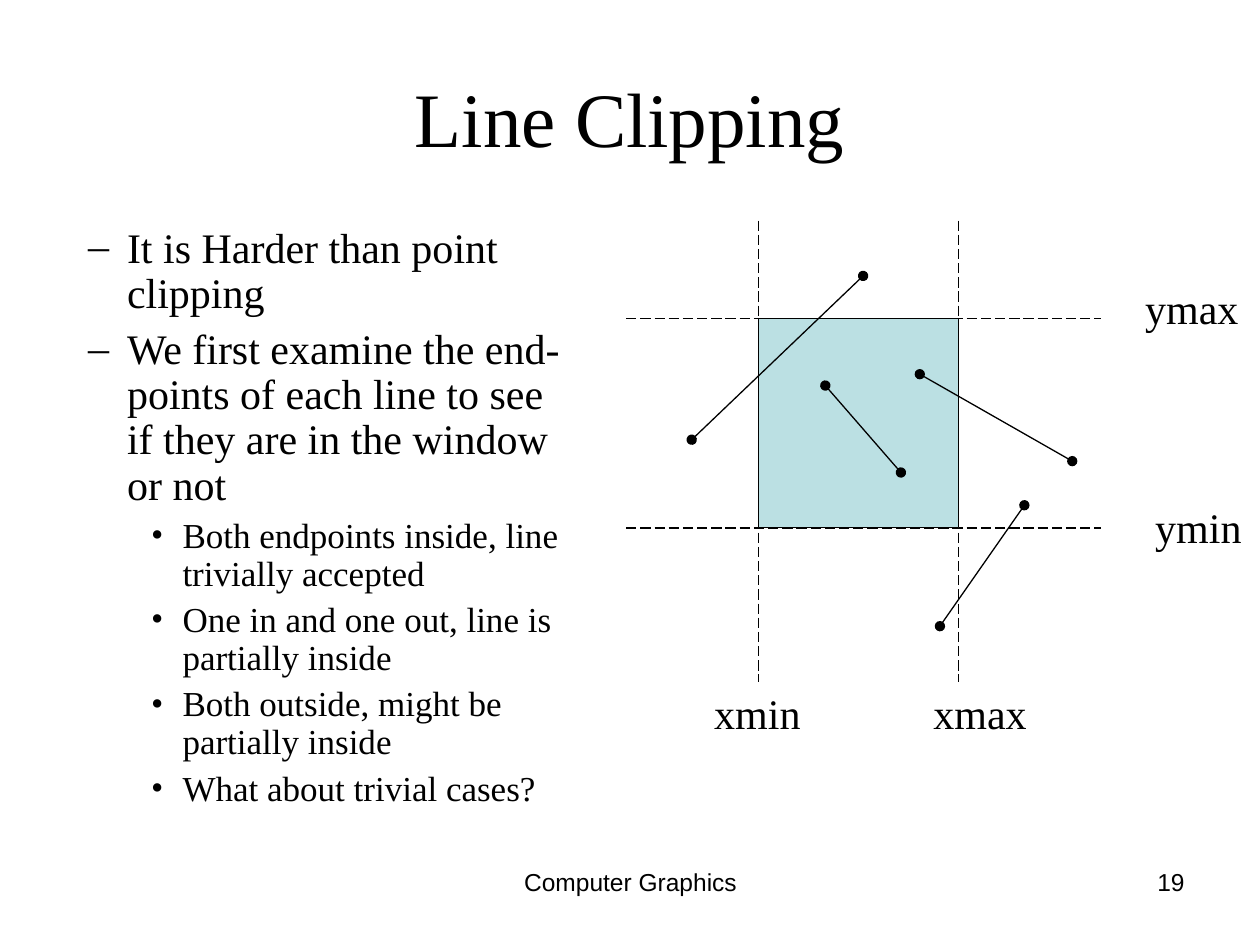
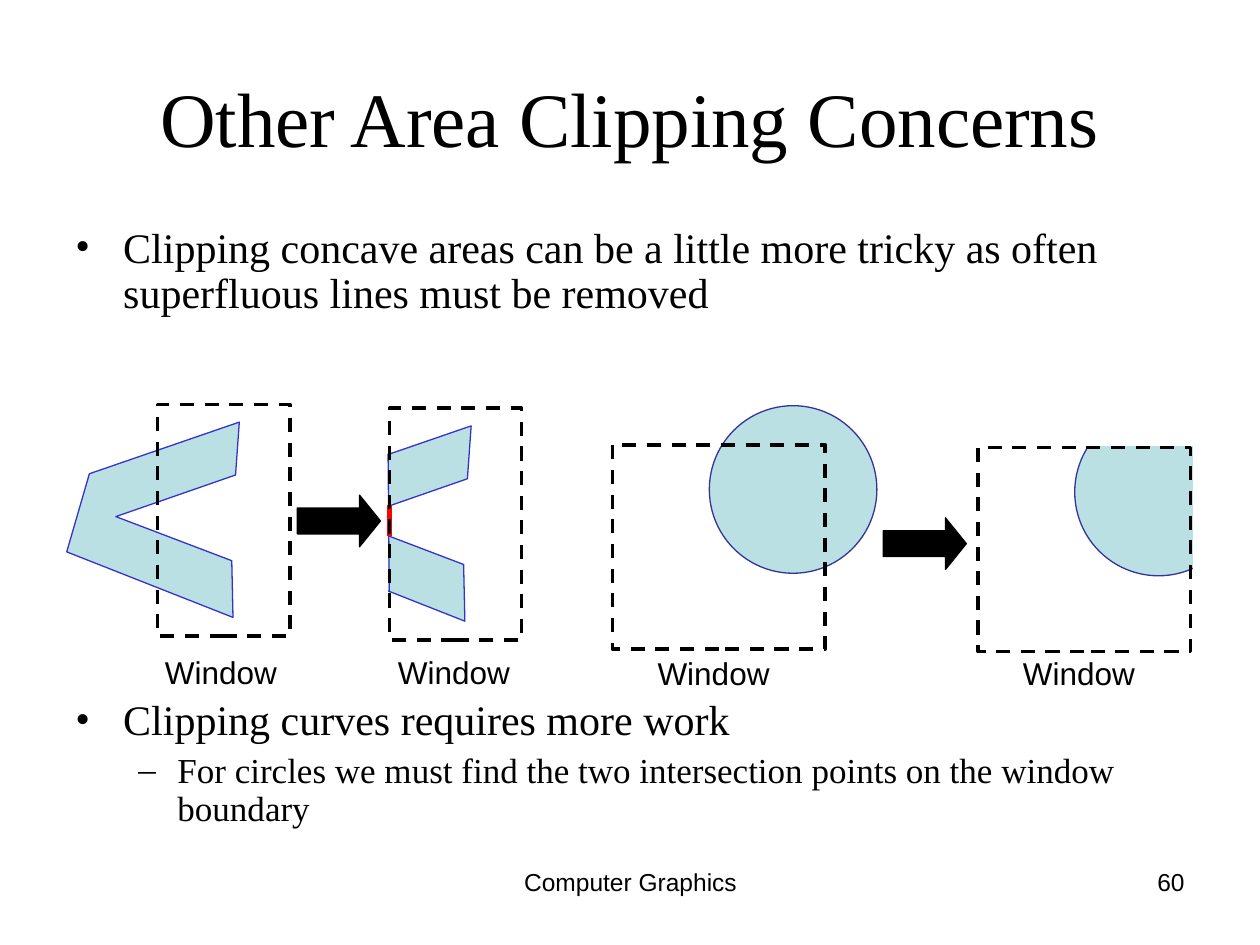
from lxml.etree import SubElement
from pptx import Presentation
from pptx.dml.color import RGBColor
from pptx.enum.dml import MSO_LINE
from pptx.enum.shapes import MSO_CONNECTOR, MSO_SHAPE
from pptx.enum.text import MSO_ANCHOR, PP_ALIGN
from pptx.oxml.ns import qn
from pptx.util import Inches, Pt

BLACK = RGBColor(0, 0, 0)
WHITE = RGBColor(0xFF, 0xFF, 0xFF)
AREA = RGBColor(0xBB, 0xE0, 0xE3)
AREA_EDGE = RGBColor(0x33, 0x33, 0xCC)
CIRCLE_EDGE = RGBColor(0x33, 0x33, 0x99)
SUPERFLUOUS = RGBColor(0xFF, 0, 0)
SERIF = "Times New Roman"
SANS = "Arial"
FOOTER = "Computer Graphics"

CONCAVE_HUNDREDTHS = [(137, 0), (134, 42), (39, 75), (131, 110),
                      (132, 155), (0, 103), (18, 41)]


def format_runs(para, size, face):
    for span in para.runs:
        span.font.size = Pt(size)
        span.font.name = face
        span.font.color.rgb = BLACK


def add_text(page, box, text, size, face, align=PP_ALIGN.LEFT, wrap=False):
    frame = page.shapes.add_textbox(*map(Inches, box)).text_frame
    frame.word_wrap = wrap
    frame.text = text
    para = frame.paragraphs[0]
    para.alignment = align
    format_runs(para, size, face)


def add_page(deck, title, number):
    page = deck.slides.add_slide(deck.slide_layouts[5])
    heading = page.shapes.title
    heading.left, heading.top, heading.width, heading.height = map(
        Inches, (0.5, 0.3, 9, 1.25))
    heading.text_frame.text = title
    heading.text_frame.vertical_anchor = MSO_ANCHOR.MIDDLE
    para = heading.text_frame.paragraphs[0]
    para.alignment = PP_ALIGN.CENTER
    format_runs(para, 44, SERIF)
    add_text(page, (3.42, 6.83, 3.17, 0.52), FOOTER, 14, SANS, PP_ALIGN.CENTER, True)
    add_text(page, (7.17, 6.83, 2.33, 0.52), str(number), 14, SANS, PP_ALIGN.RIGHT, True)
    return page


def add_bullets(page, box, items):
    frame = page.shapes.add_textbox(*map(Inches, box)).text_frame
    frame.word_wrap = True
    for index, (text, level, mark, margin, hanging, size, before) in enumerate(items):
        para = frame.add_paragraph() if index else frame.paragraphs[0]
        para.text = text
        para.level = level
        para.line_spacing = 0.9
        para.space_before = Pt(before if index else 0)
        properties = para._p.get_or_add_pPr()
        properties.set("marL", str(Inches(margin)))
        properties.set("indent", str(-Inches(hanging)))
        SubElement(properties, qn("a:buFont")).set("typeface", SERIF)
        SubElement(properties, qn("a:buChar")).set("char", mark)
        format_runs(para, size, SERIF)


def style_shape(shape, fill=None, edge=None, width=0.75, dash=None):
    shape.shadow.inherit = False
    if fill is None:
        shape.fill.background()
    else:
        shape.fill.solid()
        shape.fill.fore_color.rgb = fill
    if edge is None:
        shape.line.fill.background()
    else:
        shape.line.color.rgb = edge
        shape.line.width = Pt(width)
        if dash is not None:
            shape.line.dash_style = dash
    return shape


def add_shape(page, kind, box, **style):
    return style_shape(page.shapes.add_shape(kind, *map(Inches, box)), **style)


def add_line(page, start, end, color=BLACK, width=0.75, dash=None, dots=False):
    line = page.shapes.add_connector(
        MSO_CONNECTOR.STRAIGHT, *map(Inches, (*start, *end)))
    line.line.color.rgb = color
    line.line.width = Pt(width)
    if dash is not None:
        line.line.dash_style = dash
    if dots:
        for end_tag in ("a:headEnd", "a:tailEnd"):
            SubElement(line.line._get_or_add_ln(), qn(end_tag)).set("type", "oval")
    SubElement(line._element.spPr, qn("a:effectLst"))


def add_clip_window(page, box):
    add_shape(page, MSO_SHAPE.RECTANGLE, box, edge=BLACK, width=2, dash=MSO_LINE.DASH)


def add_mask(page, box):
    add_shape(page, MSO_SHAPE.RECTANGLE, box, fill=WHITE)


def add_arrow(page, left, top):
    arrow = add_shape(page, MSO_SHAPE.RIGHT_ARROW, (left, top, 0.66, 0.41),
                      fill=BLACK, edge=BLACK)
    arrow.adjustments[1] = 0.404


def add_window_label(page, left, top):
    add_text(page, (left, top, 1.09, 0.4), "Window", 18, SANS)


def add_concave_area(page, left, top):
    start, *others = CONCAVE_HUNDREDTHS
    builder = page.shapes.build_freeform(*start, scale=Inches(0.01))
    builder.add_line_segments(others, close=True)
    area = builder.convert_to_shape(Inches(left), Inches(top))
    style_shape(area, fill=AREA, edge=AREA_EDGE)


def add_circle_in_window(page, left, top):
    add_shape(page, MSO_SHAPE.OVAL, (left + 0.77, top - 0.31, 1.33, 1.33),
              fill=AREA, edge=CIRCLE_EDGE)
    add_clip_window(page, (left, top, 1.69, 1.62))


def draw_line_cases(page, left, top):
    x_min, x_max = left + 1.05, left + 2.64
    y_min, y_max = top + 2.44, top + 0.78
    for y in (y_max, y_min):
        add_line(page, (left, y), (left + 3.77, y), dash=MSO_LINE.LONG_DASH)
    for x in (x_min, x_max):
        add_line(page, (x, top), (x, top + 3.66), dash=MSO_LINE.LONG_DASH)
    add_shape(page, MSO_SHAPE.RECTANGLE, (x_min, y_max, x_max - x_min, y_min - y_max),
              fill=AREA, edge=BLACK)
    for name, x, y in (("ymin", 4.1, 2.18), ("ymax", 4.02, 0.44),
                       ("xmin", 0.6, 3.66), ("xmax", 2.34, 3.66)):
        add_text(page, (left + x, top + y, 0.94, 0.5), name, 24, SERIF)
    for x1, y1, x2, y2 in ((1.58, 1.31, 2.18, 2), (1.88, 0.44, 0.52, 1.74),
                           (3.54, 1.91, 2.33, 1.22), (3.16, 2.26, 2.49, 3.22)):
        add_line(page, (left + x1, top + y1), (left + x2, top + y2), dots=True)


def draw_circle_clipping(page, left, top):
    clipped_left = left + 2.9
    add_circle_in_window(page, left, top)
    add_circle_in_window(page, clipped_left, top + 0.02)
    add_mask(page, (clipped_left + 0.02, top - 0.53, 2.05, 0.54))
    add_mask(page, (clipped_left + 1.71, top - 0.38, 0.53, 2.05))
    add_arrow(page, left + 2.15, top + 0.58)
    for x in (left, clipped_left):
        add_window_label(page, x + 0.26, top + 1.61)


def draw_concave_clipping(page, left, top):
    clipped_left = left + 1.84
    add_concave_area(page, clipped_left, top + 0.03)
    add_mask(page, (left + 1.74, top - 0.13, 0.81, 1.88))
    edge = left + 2.56
    add_line(page, (edge - 0.01, top + 0.25), (edge, top + 1.35), color=AREA_EDGE)
    add_arrow(page, left + 1.83, top + 0.58)
    add_concave_area(page, left, top)
    add_clip_window(page, (left + 0.72, top - 0.14, 1.05, 1.84))
    for x in (left + 0.68, left + 2.53):
        add_window_label(page, x, top + 1.78)
    add_line(page, (edge, top + 0.9), (edge, top + 0.66), color=SUPERFLUOUS, width=3)
    add_clip_window(page, (edge, top - 0.11, 1.05, 1.84))


def build_line_clipping(deck):
    page = add_page(deck, "Line Clipping", 19)
    main_point = (1, "–", 0.91, 0.31, 24, 6)
    case = (2, "•", 1.35, 0.25, 20, 5)
    add_bullets(page, (0, 1.75, 4.58, 4.95), [
        ("It is Harder than point clipping", *main_point),
        ("We first examine the end-points of each line to see if they are "
         "in the window or not", *main_point),
        ("Both endpoints inside, line trivially accepted", *case),
        ("One in and one out, line is partially inside", *case),
        ("Both outside, might be partially inside", *case),
        ("What about trivial cases?", *case),
    ])
    draw_line_cases(page, 4.97, 1.75)


def build_area_concerns(deck):
    page = add_page(deck, "Other Area Clipping Concerns", 60)
    main_point = (0, "•", 0.38, 0.38, 24)
    add_bullets(page, (0.5, 1.75, 9, 4.95), [
        ("Clipping concave areas can be a little more tricky as often "
         "superfluous lines must be removed", *main_point, 0),
        ("Clipping curves requires more work", *main_point, 218),
        ("For circles we must find the two intersection points on the window "
         "boundary", 1, "–", 0.81, 0.31, 20, 5),
    ])
    draw_circle_clipping(page, 4.86, 3.53)
    draw_concave_clipping(page, 0.53, 3.35)


def main():
    deck = Presentation()
    deck.slide_width, deck.slide_height = Inches(10), Inches(7.5)
    build_line_clipping(deck)
    build_area_concerns(deck)
    deck.save("out.pptx")


if __name__ == "__main__":
    main()
